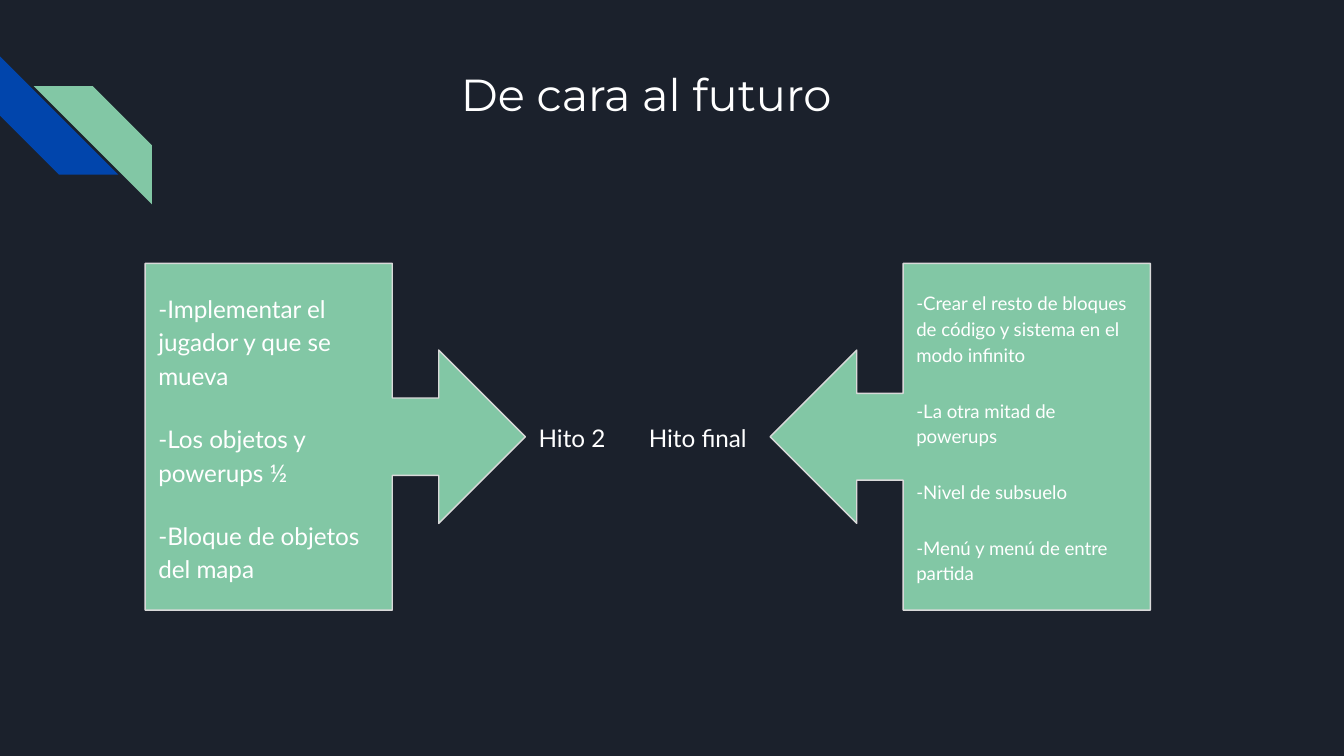
from pptx import Presentation
from pptx.dml.color import RGBColor
from pptx.enum import shapes, text
from pptx.util import Pt

NAVY = RGBColor(0x1B, 0x21, 0x2C)
BLUE = RGBColor(0x01, 0x45, 0xAC)
GREEN = RGBColor(0x82, 0xC7, 0xA5)
GRAY = RGBColor(0xD9, 0xD9, 0xD9)
WHITE = RGBColor(0xFF, 0xFF, 0xFF)
SHAPE = shapes.MSO_SHAPE

# Content: lengths in points
TITLE = "De cara al futuro"
STRIPES = [  # left, top, rotation, colour
    (0, 30.24, 270, BLUE),
    (18, 46.08, 90, GREEN),
]
STRIPE_SIZE = 63.36
CALLOUTS = [  # shape, left, shaft thickness, text size, paragraphs
    (SHAPE.RIGHT_ARROW_CALLOUT, 77.76, 0.223, 13, [
        "-Implementar el jugador y que se mueva",
        "-Los objetos y powerups ½",
        "-Bloque de objetos del mapa",
    ]),
    (SHAPE.LEFT_ARROW_CALLOUT, 412.56, 0.25, 10, [
        "-Crear el resto de bloques de código y sistema en el modo infinito",
        "-La otra mitad de powerups",
        "-Nivel de subsuelo",
        "-Menú y menú de entre partida",
    ]),
]
CALLOUT_TOP, CALLOUT_W, CALLOUT_H = 141.12, 203.76, 185.76
LABELS = [("Hito 2", 281.52, 119.52), ("Hito final", 340.56, 72)]  # text, left, width
LABEL_TOP, LABEL_H = 217.44, 33.12
GAP = 16


def write(s, lines, size, font="Lato", spacing=1.15, anchor=text.MSO_ANCHOR.TOP):
    tf = s.text_frame
    tf.word_wrap = True
    tf.vertical_anchor = anchor
    tf.margin_left = tf.margin_right = tf.margin_top = tf.margin_bottom = Pt(7.2)
    tf.text = "\n".join(lines)
    for i, p in enumerate(tf.paragraphs):
        p.alignment = text.PP_ALIGN.LEFT
        p.line_spacing = spacing
        p.space_before = Pt(GAP if i else 0)
        for r in p.runs:
            r.font.name = font
            r.font.size = Pt(size)
            r.font.color.rgb = WHITE
    if len(lines) > 1:
        tf.paragraphs[-1].space_after = Pt(GAP)


def add_filled(slide, kind, box, color):
    s = slide.shapes.add_shape(kind, *map(Pt, box))
    s.shadow.inherit = False
    s.fill.solid()
    s.fill.fore_color.rgb = color
    return s


def main():
    prs = Presentation()
    prs.slide_width, prs.slide_height = Pt(720), Pt(405)
    slide = prs.slides.add_slide(prs.slide_layouts[6])
    slide.background.fill.solid()
    slide.background.fill.fore_color.rgb = NAVY

    # Corner stripes
    for left, top, rotation, color in STRIPES:
        s = add_filled(slide, SHAPE.DIAGONAL_STRIPE,
                       (left, top, STRIPE_SIZE, STRIPE_SIZE), color)
        s.rotation = rotation
        s.line.fill.background()

    # Title
    s = slide.shapes.add_textbox(Pt(239.76), Pt(28.8), Pt(671.04), Pt(45.36))
    write(s, [TITLE], 24, font="Montserrat", spacing=1)

    # Arrow callouts
    for kind, left, shaft, size, lines in CALLOUTS:
        s = add_filled(slide, kind, (left, CALLOUT_TOP, CALLOUT_W, CALLOUT_H), GREEN)
        for i, value in enumerate((shaft, 0.25, 0.25, 0.65)):
            s.adjustments[i] = value
        s.line.color.rgb = GRAY
        s.line.width = Pt(0.75)
        write(s, lines, size, anchor=text.MSO_ANCHOR.MIDDLE)

    # Milestone labels
    for label, left, width in LABELS:
        s = slide.shapes.add_textbox(Pt(left), Pt(LABEL_TOP), Pt(width), Pt(LABEL_H))
        write(s, [label], 13)

    prs.save("out.pptx")


if __name__ == "__main__":
    main()
